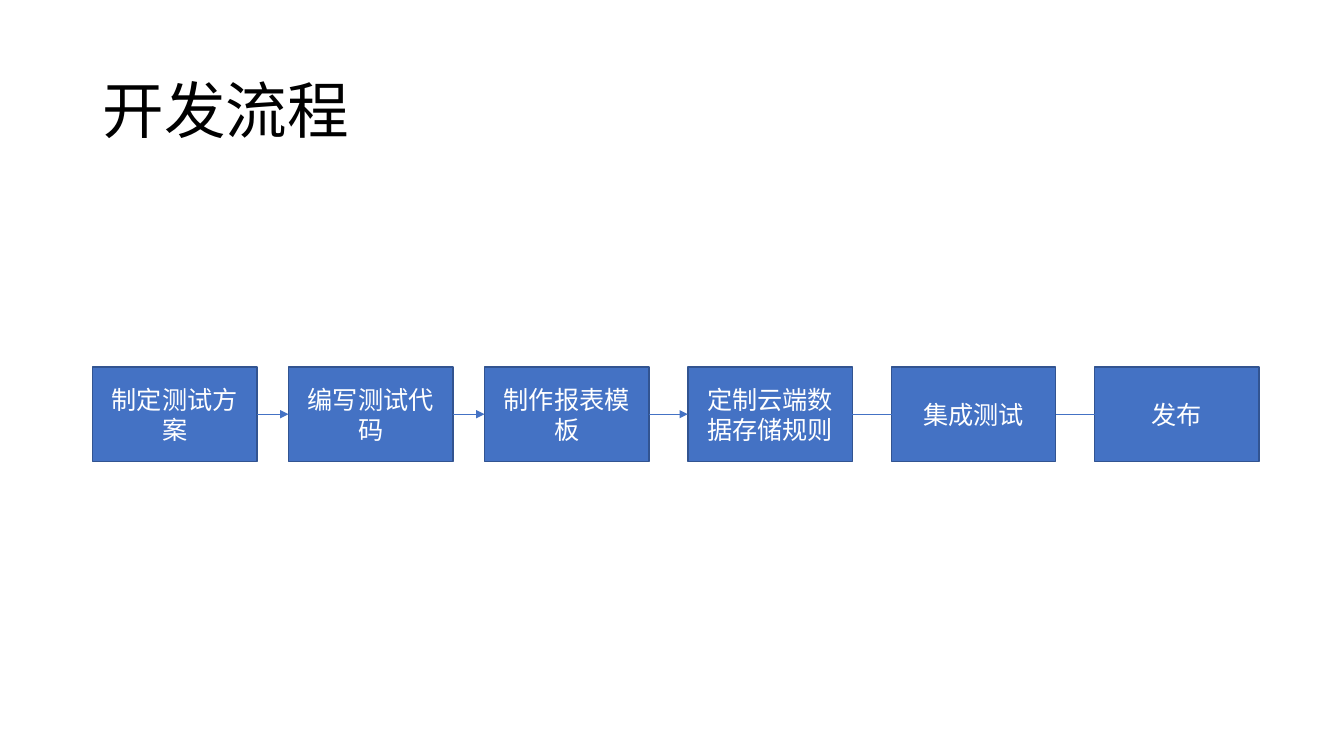
import pptx
import pptx.dml.color
import pptx.enum.shapes
import pptx.enum.text
import pptx.oxml.ns
import pptx.util
from lxml import etree

Pt = pptx.util.Pt
FONT = "Noto Sans CJK SC"
BLUE, DARK_BLUE, WHITE, BLACK = "4472C4", "325491", "FFFFFF", "000000"

# Each step: label, gap before it, how far its incoming arrow runs into it
STEPS = [
    ("制定测试方案", 0, 0),
    ("编写测试代码", 22.5, 0),
    ("制作报表模板", 22.5, 0),
    ("定制云端数据存储规则", 27.75, 0),
    ("集成测试", 27.75, 20),
    ("发布", 27.75, 10),
]
STEP_WIDTH = 117.5


def rgb(value):
    return pptx.dml.color.RGBColor.from_string(value)


def add_xml(parent, tag, **attributes):
    return etree.SubElement(parent, pptx.oxml.ns.qn(tag), **attributes)


def write_text(sp, text, size, color, align):
    tf = sp.text_frame
    tf.text = text
    tf.word_wrap = True
    tf.vertical_anchor = pptx.enum.text.MSO_ANCHOR.MIDDLE
    p = tf.paragraphs[0]
    p.alignment = align
    r = p.runs[0]
    r.font.size = Pt(size)
    r.font.color.rgb = rgb(color)
    r.font.name = FONT
    add_xml(r.font._element, "a:ea", typeface=FONT)
    return p


def add_title(s, text, left, top, width, height):
    sp = s.shapes.title
    sp.left, sp.top, sp.width, sp.height = Pt(left), Pt(top), Pt(width), Pt(height)
    p = write_text(sp, text, 44, BLACK, pptx.enum.text.PP_ALIGN.LEFT)
    p.line_spacing = 0.9


def add_step(s, label, left, top, width, height):
    sp = s.shapes.add_shape(pptx.enum.shapes.MSO_SHAPE.RECTANGLE,
                            Pt(left), Pt(top), Pt(width), Pt(height))
    sp.shadow.inherit = False
    sp.fill.solid()
    sp.fill.fore_color.rgb = rgb(BLUE)
    sp.line.color.rgb = rgb(DARK_BLUE)
    sp.line.width = Pt(1)
    write_text(sp, label, 18, WHITE, pptx.enum.text.PP_ALIGN.CENTER)
    return sp


def add_arrow(s, source, target, overlap):
    """Join two steps; with an overlap the arrow ends inside the target."""
    y = source.top + source.height // 2
    cxn = s.shapes.add_connector(pptx.enum.shapes.MSO_CONNECTOR.STRAIGHT,
                                 source.left + source.width, y,
                                 target.left + Pt(overlap), y)
    cxn.begin_connect(source, 3)
    if not overlap:
        cxn.end_connect(target, 1)
    cxn.line.color.rgb = rgb(BLUE)
    cxn.line.width = Pt(0.5)
    add_xml(cxn.line._get_or_add_ln(), "a:tailEnd", type="triangle")
    add_xml(cxn._element.spPr, "a:effectLst")


def add_flow(s, left, top, height):
    previous = None
    for label, gap, overlap in STEPS:
        left += gap
        step = add_step(s, label, left, top, STEP_WIDTH, height)
        if previous is not None:
            add_arrow(s, previous, step, overlap)
        previous = step
        left += STEP_WIDTH


def main():
    prs = pptx.Presentation()
    prs.slide_width, prs.slide_height = Pt(960), Pt(540)
    s = prs.slides.add_slide(prs.slide_layouts[5])
    add_title(s, "开发流程", 66, 28.75, 828, 104.4)
    add_flow(s, 66.1, 262.25, 67.25)
    prs.save("out.pptx")


if __name__ == "__main__":
    main()
